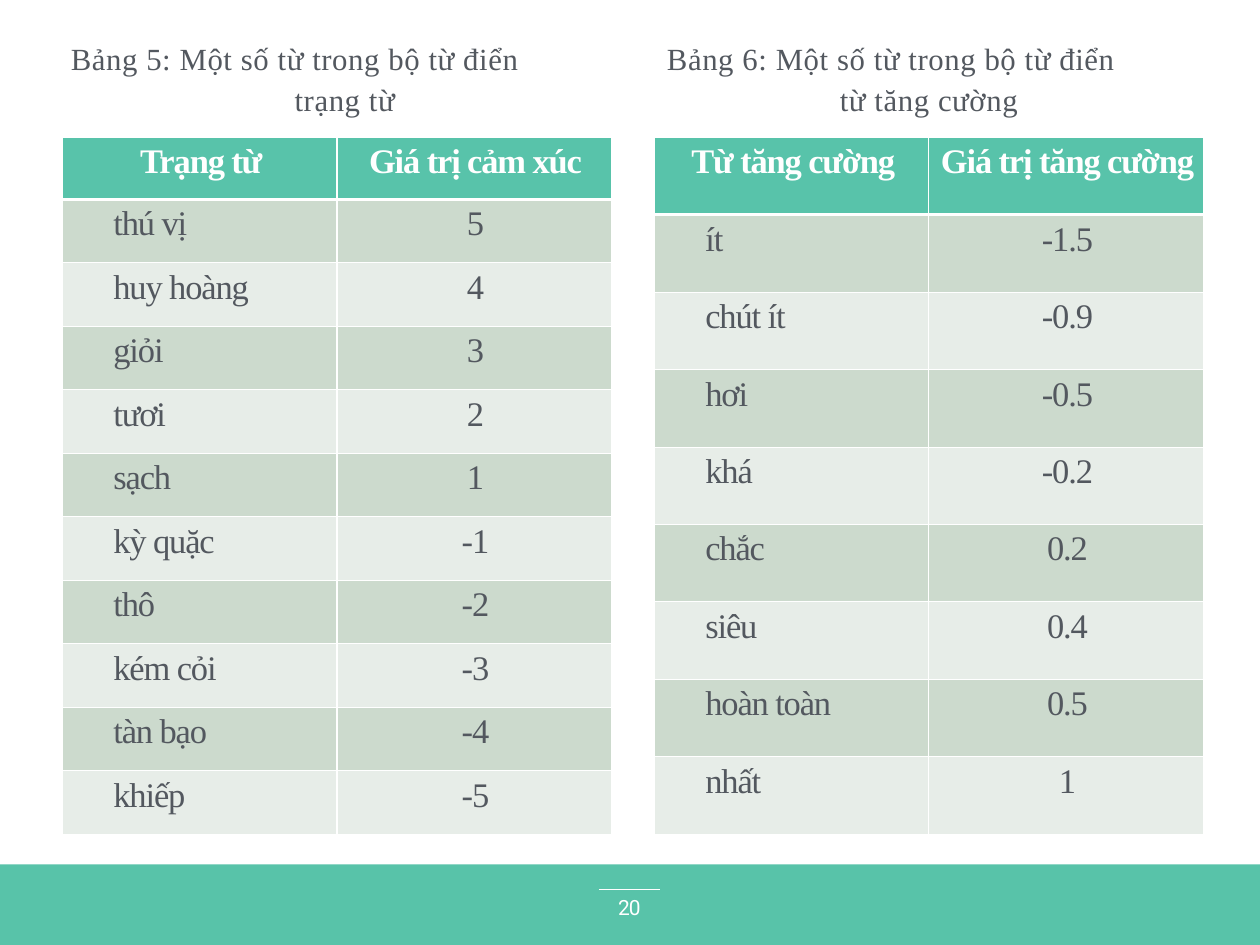
from lxml import etree
from pptx import Presentation
from pptx.dml.color import RGBColor
from pptx.enum import shapes, text
from pptx.oxml import ns
from pptx.util import Cm, Pt

TEAL = RGBColor(0x58, 0xC3, 0xA9)
HEAD = RGBColor(0x58, 0xC3, 0xAA)
DARK = RGBColor(0xCC, 0xDA, 0xCD)
PALE = RGBColor(0xE7, 0xED, 0xE8)
INK = RGBColor(0x53, 0x58, 0x5F)
WHITE = RGBColor(0xFF, 0xFF, 0xFF)
SERIF = "Times New Roman"
WIDE = 36.12
SPAN = 15.72
LEFT, RIGHT = 1.8, 18.77

ADVERBS = [
    ("Trạng từ", "Giá trị cảm xúc"),
    ("thú vị", "5"), ("huy hoàng", "4"), ("giỏi", "3"), ("tươi", "2"),
    ("sạch", "1"), ("kỳ quặc", "-1"), ("thô", "-2"), ("kém cỏi", "-3"),
    ("tàn bạo", "-4"), ("khiếp", "-5"),
]
BOOSTERS = [
    ("Từ tăng cường", "Giá trị tăng cường"),
    ("ít", "-1.5"), ("chút ít", "-0.9"), ("hơi", "-0.5"), ("khá", "-0.2"),
    ("chắc", "0.2"), ("siêu", "0.4"), ("hoàn toàn", "0.5"), ("nhất", "1"),
]


class Page:
    """Draws styled elements on the current slide."""

    def __init__(self, slide):
        self.slide = slide

    def style(self, para, size, color, space, font=SERIF, bold=False,
              align=text.PP_ALIGN.CENTER, lead=1.0, indent=0):
        para.alignment = align
        para.line_spacing = lead
        para._p.get_or_add_pPr().set("indent", str(Cm(indent)))
        for run in para.runs:
            run.font.size = Pt(size)
            run.font.name = font
            run.font.bold = bold
            run.font.color.rgb = color
            run._r.get_or_add_rPr().set("spc", str(round(space * 100)))

    def bar(self, top, height):
        bar = self.slide.shapes.add_shape(
            shapes.MSO_SHAPE.RECTANGLE, 0, Cm(top), Cm(WIDE), Cm(height))
        bar.shadow.inherit = False
        bar.fill.solid()
        bar.fill.fore_color.rgb = TEAL
        bar.line.fill.background()

    def rule(self, left, right, top):
        rule = self.slide.shapes.add_connector(
            shapes.MSO_CONNECTOR.STRAIGHT, Cm(left), Cm(top), Cm(right), Cm(top))
        rule.line.color.rgb = WHITE
        rule.line.width = Pt(0.5)
        etree.SubElement(rule._element.spPr, ns.qn("a:effectLst"))

    def box(self, left, top, width, height, words, inset=0):
        box = self.slide.shapes.add_textbox(
            Cm(left), Cm(top), Cm(width), Cm(height))
        frame = box.text_frame
        frame.word_wrap = True
        frame.vertical_anchor = text.MSO_ANCHOR.MIDDLE
        frame.margin_left = frame.margin_right = Cm(inset)
        frame.margin_top = frame.margin_bottom = Cm(inset)
        frame.text = words
        return frame

    def number(self, words):
        frame = self.box(17.32, 25.53, 1.45, 1.07, words)
        self.style(frame.paragraphs[0], 17, WHITE, -0.9, "Roboto", lead=0.9)

    def caption(self, left, words, first, second):
        frame = self.box(left, 0.89, SPAN, 2.64, words, 0.15)
        frame.auto_size = text.MSO_AUTO_SIZE.SHAPE_TO_FIT_TEXT
        top, end = frame.paragraphs
        self.style(top, 25, INK, 0.5, align=text.PP_ALIGN.LEFT,
                   lead=1.1, indent=first)
        self.style(end, 25, INK, 0.5, lead=1.1, indent=second)

    def border(self, cell, row):
        props = cell._tc.get_or_add_tcPr()
        widths = {"lnL": 1, "lnR": 1, "lnT": 3 if row == 1 else 1,
                  "lnB": 3 if row == 0 else 1}
        for spot, (side, width) in enumerate(widths.items()):
            line = etree.Element(ns.qn("a:" + side), w=str(Pt(width)))
            fill = etree.SubElement(line, ns.qn("a:solidFill"))
            etree.SubElement(fill, ns.qn("a:srgbClr"), val=str(WHITE))
            props.insert(spot, line)

    def cell(self, cell, row, col, words):
        cell.margin_left = cell.margin_right = Cm(0.18)
        cell.margin_top = cell.margin_bottom = 0
        cell.fill.solid()
        cell.fill.fore_color.rgb = HEAD if row == 0 else DARK if row % 2 else PALE
        self.border(cell, row)
        cell.text_frame.text = words
        para = cell.text_frame.paragraphs[0]
        term = row > 0 and col == 0
        self.style(para, 28, INK if row else WHITE, -0.9, bold=row == 0,
                   align=text.PP_ALIGN.JUSTIFY if term else text.PP_ALIGN.CENTER,
                   lead=1.15, indent=1.27 if term else 0.08)
        para.space_before = Pt(26)
        para.space_after = Pt(6)

    def table(self, left, data, head, body):
        high = head + body * (len(data) - 1)
        table = self.slide.shapes.add_table(
            len(data), 2, Cm(left), Cm(3.94), Cm(SPAN), Cm(high)).table
        table.horz_banding = False
        for col in table.columns:
            col.width = Cm(SPAN / 2)
        for row, pair in enumerate(data):
            table.rows[row].height = Cm(body if row else head)
            for col, words in enumerate(pair):
                self.cell(table.cell(row, col), row, col, words)


def main():
    deck = Presentation()
    deck.slide_width = Cm(WIDE)
    deck.slide_height = Cm(27.1)
    page = Page(deck.slides.add_slide(deck.slide_layouts[6]))
    page.bar(24.79, 2.31)
    page.rule(17.17, 18.92, 25.5)
    page.number("20")
    page.table(LEFT, ADVERBS, 1.78, 1.82)
    page.caption(LEFT, "Bảng 5: Một số từ trong bộ từ điển\ntrạng từ", 0.08, 0.45)
    page.table(RIGHT, BOOSTERS, 2.22, 2.22)
    page.caption(RIGHT, "Bảng 6: Một số từ trong bộ từ điển\ntừ tăng cường", 0.2, 0)
    deck.save("out.pptx")


if __name__ == "__main__":
    main()
